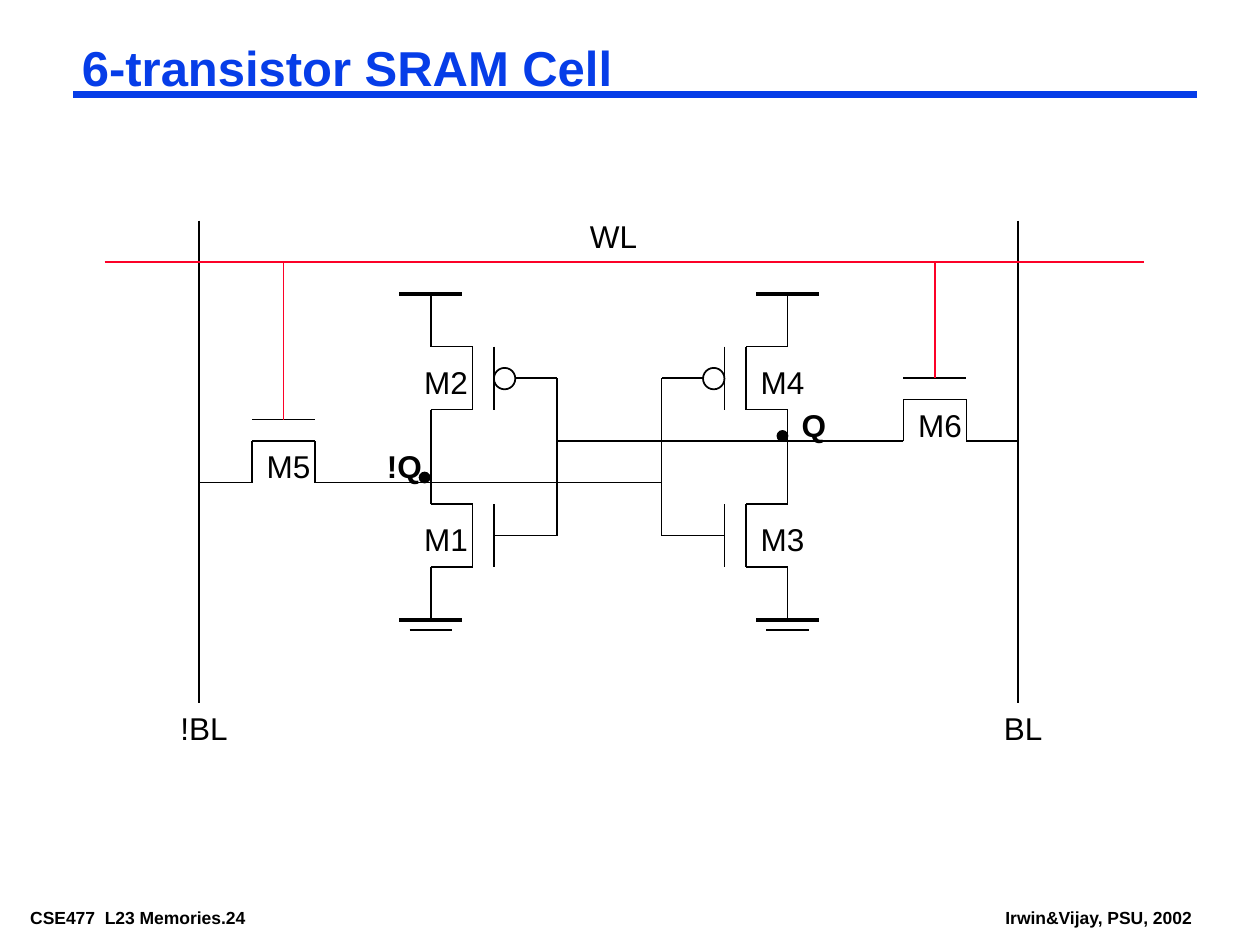
from dataclasses import dataclass

from lxml import etree
from pptx import Presentation
from pptx import util as u
from pptx.dml import color as dml
from pptx.enum import shapes, text
from pptx.oxml import ns

INK = {"black": "000000", "blue": "063DE8", "red": "FC0128"}


@dataclass
class Wire:
    x1: float
    y1: float
    x2: float
    y2: float
    ink: str = "black"
    wide: float = 1


@dataclass
class Label:
    words: str
    left: float
    top: float
    width: float = 0.58
    height: float = 0.4
    size: float = 18
    bold: bool = False
    ink: str = "black"
    side: float = 0.1
    edge: float = 0.05
    wrap: bool = True
    align: text.PP_ALIGN = text.PP_ALIGN.CENTER
    pitch: float = 1.0


@dataclass
class Fet:
    x: float
    top: float
    turn: int
    lead: float = 0.42
    bubble: bool = False


@dataclass
class Pass:
    x: float
    gate: float


def tint(ink: str) -> dml.RGBColor:
    return dml.RGBColor.from_string(INK[ink])


def draw_wire(slide, wire: Wire) -> None:
    ends = [u.Inches(v) for v in (wire.x1, wire.y1, wire.x2, wire.y2)]
    line = slide.shapes.add_connector(shapes.MSO_CONNECTOR.STRAIGHT, *ends)
    line.line.color.rgb = tint(wire.ink)
    line.line.width = u.Pt(wire.wide)
    etree.SubElement(line._element.spPr, ns.qn("a:effectLst"))


def draw_dot(slide, left: float, top: float, size: float, solid: bool) -> None:
    dot = slide.shapes.add_shape(
        shapes.MSO_SHAPE.OVAL, u.Inches(left), u.Inches(top), u.Inches(size), u.Inches(size)
    )
    dot.shadow.inherit = False
    if solid:
        dot.fill.solid()
        dot.fill.fore_color.rgb = tint("black")
    else:
        dot.fill.background()
    dot.line.color.rgb = tint("black")
    dot.line.width = u.Pt(1)


def draw_label(slide, label: Label) -> None:
    box = slide.shapes.add_textbox(
        u.Inches(label.left), u.Inches(label.top), u.Inches(label.width), u.Inches(label.height)
    )
    frame = box.text_frame
    frame.word_wrap = label.wrap
    frame.auto_size = text.MSO_AUTO_SIZE.SHAPE_TO_FIT_TEXT
    frame.margin_left = frame.margin_right = u.Inches(label.side)
    frame.margin_top = frame.margin_bottom = u.Inches(label.edge)
    para = frame.paragraphs[0]
    para.alignment = label.align
    para.line_spacing = label.pitch
    run = para.add_run()
    run.text = label.words
    run.font.name = "Arial"
    run.font.size = u.Pt(label.size)
    run.font.bold = label.bold
    run.font.color.rgb = tint(label.ink)


def draw_fet(slide, fet: Fet) -> None:
    body = fet.x + fet.turn * 0.33
    gate = fet.x + fet.turn * 0.5
    low = fet.top + 0.5
    for x in (body, gate):
        draw_wire(slide, Wire(x, fet.top, x, low))
    for y, end in ((fet.top, fet.top - fet.lead), (low, low + fet.lead)):
        draw_wire(slide, Wire(fet.x, y, body, y))
        draw_wire(slide, Wire(fet.x, y, fet.x, end))
    if fet.bubble:
        draw_dot(slide, min(gate, gate + fet.turn * 0.17), fet.top + 0.17, 0.17, False)


def draw_pass(slide, item: Pass) -> None:
    right = item.x + 0.5
    top, low = item.gate + 0.17, item.gate + 0.5
    for y in (item.gate, top):
        draw_wire(slide, Wire(item.x, y, right, y))
    for x, end in ((item.x, item.x - 0.42), (right, right + 0.42)):
        draw_wire(slide, Wire(x, top, x, low))
        draw_wire(slide, Wire(x, low, end, low))
    mid = item.x + 0.25
    draw_wire(slide, Wire(mid, 2.08, mid, item.gate, "red"))


def draw_half(slide, x: float, turn: int, loop: float) -> None:
    draw_fet(slide, Fet(x, 2.75, turn, bubble=True))
    draw_fet(slide, Fet(x, 4, turn))
    for y in (2.33, 4.92):
        draw_wire(slide, Wire(x - 0.25, y, x + 0.25, y, wide=2.25))
    draw_wire(slide, Wire(x - 0.17, 5, x + 0.17, 5))
    draw_wire(slide, Wire(x + turn * 0.67, 3, loop, 3))
    draw_wire(slide, Wire(x + turn * 0.5, 4.25, loop, 4.25))
    draw_wire(slide, Wire(loop, 3, loop, 4.25))


def main() -> None:
    deck = Presentation()
    deck.slide_width, deck.slide_height = u.Inches(10), u.Inches(7.5)
    slide = deck.slides.add_slide(deck.slide_layouts[6])

    foot = dict(
        height=0.22, size=10, bold=True, side=0.07, edge=0.03, wrap=False, align=text.PP_ALIGN.LEFT
    )
    head = dict(foot, height=0.46, size=28, ink="blue", wrap=True, pitch=0.87)
    labels = [
        Label("CSE477  L23 Memories.24", 0.17, 7.17, 2.36, **foot),
        Label("Irwin&Vijay, PSU, 2002", 7.91, 7.17, 1.63, **foot),
        Label("6-transistor SRAM Cell", 0.58, 0.33, 8.92, **head),
        Label("!BL", 1.33, 5.58),
        Label("BL", 7.83, 5.58),
        Label("WL", 4.58, 1.67),
        Label("M1", 3.25, 4.08),
        Label("M2", 3.25, 2.83),
        Label("M3", 5.92, 4.08),
        Label("M4", 5.92, 2.83),
        Label("M5", 2, 3.5),
        Label("M6", 7.17, 3.17),
        Label("Q", 6.17, 3.17, bold=True),
        Label("!Q", 2.92, 3.5, bold=True),
    ]
    wires = [
        Wire(0.58, 0.75, 9.5, 0.75, "blue", 4.5),
        Wire(2.92, 3.83, 5.25, 3.83),
        Wire(4.42, 3.5, 6.75, 3.5),
        Wire(1.58, 1.75, 1.58, 5.58),
        Wire(8.08, 1.75, 8.08, 5.58),
        Wire(0.83, 2.08, 9.08, 2.08, "red"),
    ]

    for wire in wires:
        draw_wire(slide, wire)
    draw_half(slide, 3.42, 1, 4.42)
    draw_half(slide, 6.25, -1, 5.25)
    for item in (Pass(2, 3.33), Pass(7.17, 3)):
        draw_pass(slide, item)
    for label in labels:
        draw_label(slide, label)
    for left, top in ((3.33, 3.75), (6.17, 3.42)):
        draw_dot(slide, left, top, 0.08, True)
    deck.save("out.pptx")


if __name__ == "__main__":
    main()
